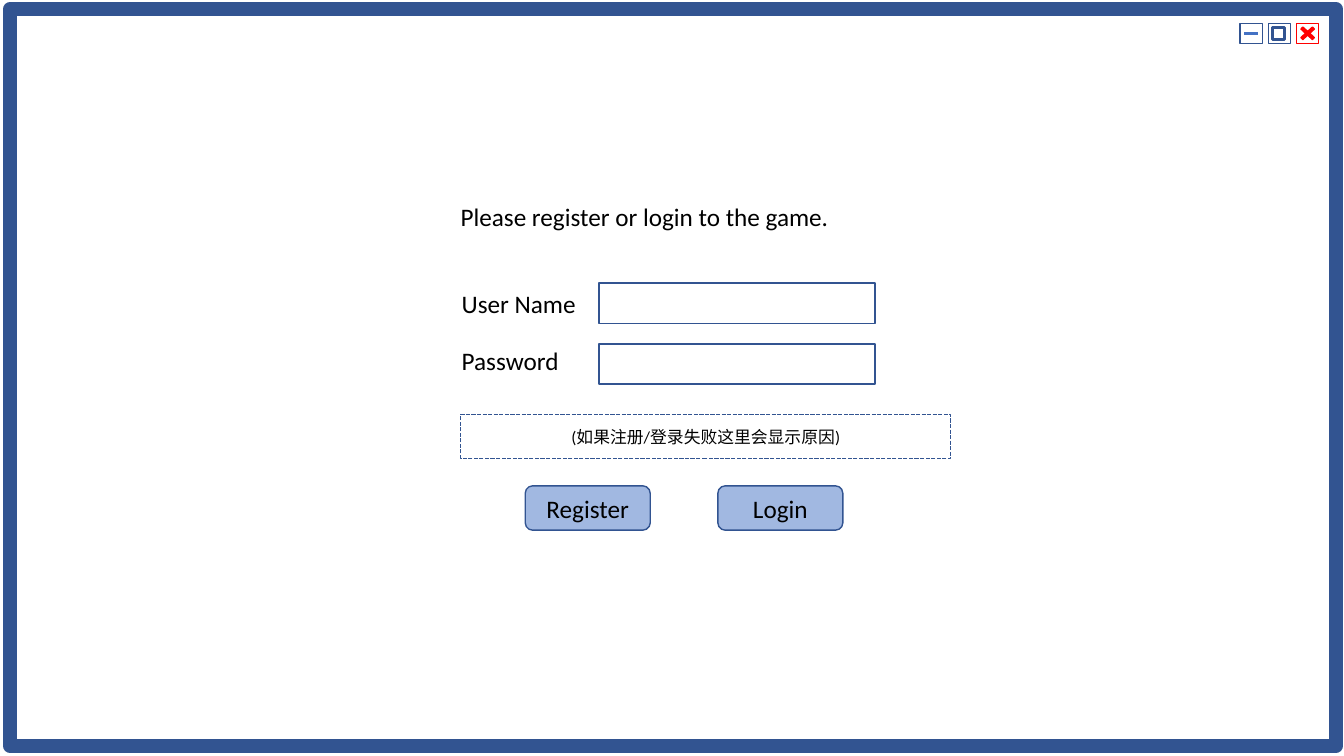
from dataclasses import dataclass

from lxml.etree import SubElement
from pptx import Presentation
from pptx.dml.color import RGBColor
from pptx.enum.dml import MSO_LINE
from pptx.enum.shapes import MSO_CONNECTOR, MSO_SHAPE
from pptx.enum.text import MSO_ANCHOR, MSO_AUTO_SIZE, PP_ALIGN
from pptx.oxml.ns import qn
from pptx.util import Inches, Pt


@dataclass(frozen=True)
class Theme:
    navy: RGBColor = RGBColor(0x32, 0x54, 0x91)
    blue: RGBColor = RGBColor(0x44, 0x72, 0xC4)
    red: RGBColor = RGBColor(0xFF, 0x00, 0x00)
    ink: RGBColor = RGBColor(0x00, 0x00, 0x00)
    font: str = "Calibri"
    body: int = 18
    small: int = 12


THEME = Theme()
WIDTH, HEIGHT = Inches(13.33), Inches(7.5)


def across(percent):
    """Percent of the slide's width."""
    return round(WIDTH * percent / 100)


def down(percent):
    """Percent of the slide's height."""
    return round(HEIGHT * percent / 100)


def place(left, top, width, height):
    return across(left), down(top), across(width), down(height)


def write(element, text, size=THEME.body, align=PP_ALIGN.LEFT):
    paragraph = element.text_frame.paragraphs[0]
    paragraph.text = text
    paragraph.alignment = align
    paragraph.font.name = THEME.font
    paragraph.font.size = Pt(size)
    paragraph.font.color.rgb = THEME.ink


def add_box(shapes, area, weight=1, color=THEME.navy, fill=None,
            kind=MSO_SHAPE.RECTANGLE):
    box = shapes.add_shape(kind, *place(*area))
    box.shadow.inherit = False
    box.line.color.rgb = color
    box.line.width = Pt(weight)
    if fill is None:
        box.fill.background()
    else:
        box.fill.solid()
        box.fill.fore_color.rgb = fill
    return box


def add_caption(shapes, area, text, wrap=True):
    caption = shapes.add_textbox(*place(*area))
    caption.text_frame.word_wrap = wrap
    caption.text_frame.auto_size = MSO_AUTO_SIZE.SHAPE_TO_FIT_TEXT
    write(caption, text)


def add_centred(box, text, size=THEME.body):
    box.text_frame.vertical_anchor = MSO_ANCHOR.MIDDLE
    write(box, text, size, PP_ALIGN.CENTER)


def add_button(shapes, area, text):
    button = add_box(shapes, area, fill=THEME.blue,
                     kind=MSO_SHAPE.ROUNDED_RECTANGLE)
    # Half-transparent fill
    tint = button.fill._xPr.find(qn("a:solidFill"))[0]
    SubElement(tint, qn("a:alpha")).set("val", "50000")
    add_centred(button, text)


def add_window_controls(slide):
    controls = slide.shapes.add_group_shape().shapes
    left, top, step, width, height = 92.27, 3.07, 2.1, 1.65, 2.67
    for index, color in enumerate((THEME.navy, THEME.navy, THEME.red)):
        add_box(controls, (left + index * step, top, width, height),
                color=color)

    # Minimise
    middle = down(top + height / 2)
    dash = controls.add_connector(MSO_CONNECTOR.STRAIGHT, across(left + 0.3),
                                  middle, across(left + 1.35), middle)
    dash.line.color.rgb = THEME.blue
    dash.line.width = Pt(2)
    SubElement(dash._element.spPr, qn("a:effectLst"))

    # Maximise
    add_box(controls, (left + step + 0.3, 3.6, 0.9, 1.6), weight=2)

    # Close
    cross = add_box(controls, (left + 2 * step, top, width, height),
                    color=THEME.red, fill=THEME.red,
                    kind=MSO_SHAPE.MATH_MULTIPLY)
    cross.adjustments[0] = 0.134


def add_login_form(slide):
    shapes = slide.shapes
    add_caption(shapes, (33.53, 26, 29.18, 5.33),
                "Please register or login to the game.", wrap=False)

    # Labelled fields
    for row, label in enumerate(("User Name", "Password")):
        add_caption(shapes, (33.61, 37.47 + row * 7.6, 10.95, 5.33), label)
        add_box(shapes, (44.56, 37.47 + row * 8, 20.56, 5.33), weight=1.25)

    # Failure message
    message = add_box(shapes, (34.28, 54.8, 36.46, 5.87))
    message.line.dash_style = MSO_LINE.SQUARE_DOT
    add_centred(message, "(如果注册/登录失败这里会显示原因)", THEME.small)

    # Actions
    for column, action in enumerate(("Register", "Login")):
        add_button(shapes, (39.08 + column * 14.33, 64.27, 9.3, 5.87), action)


def main():
    deck = Presentation()
    deck.slide_width, deck.slide_height = WIDTH, HEIGHT
    slide = deck.slides.add_slide(deck.slide_layouts[6])

    # Window frame
    add_box(slide.shapes, (0.75, 1.2, 98.65, 97.47), weight=10)
    add_window_controls(slide)
    add_login_form(slide)
    deck.save("out.pptx")


if __name__ == "__main__":
    main()
